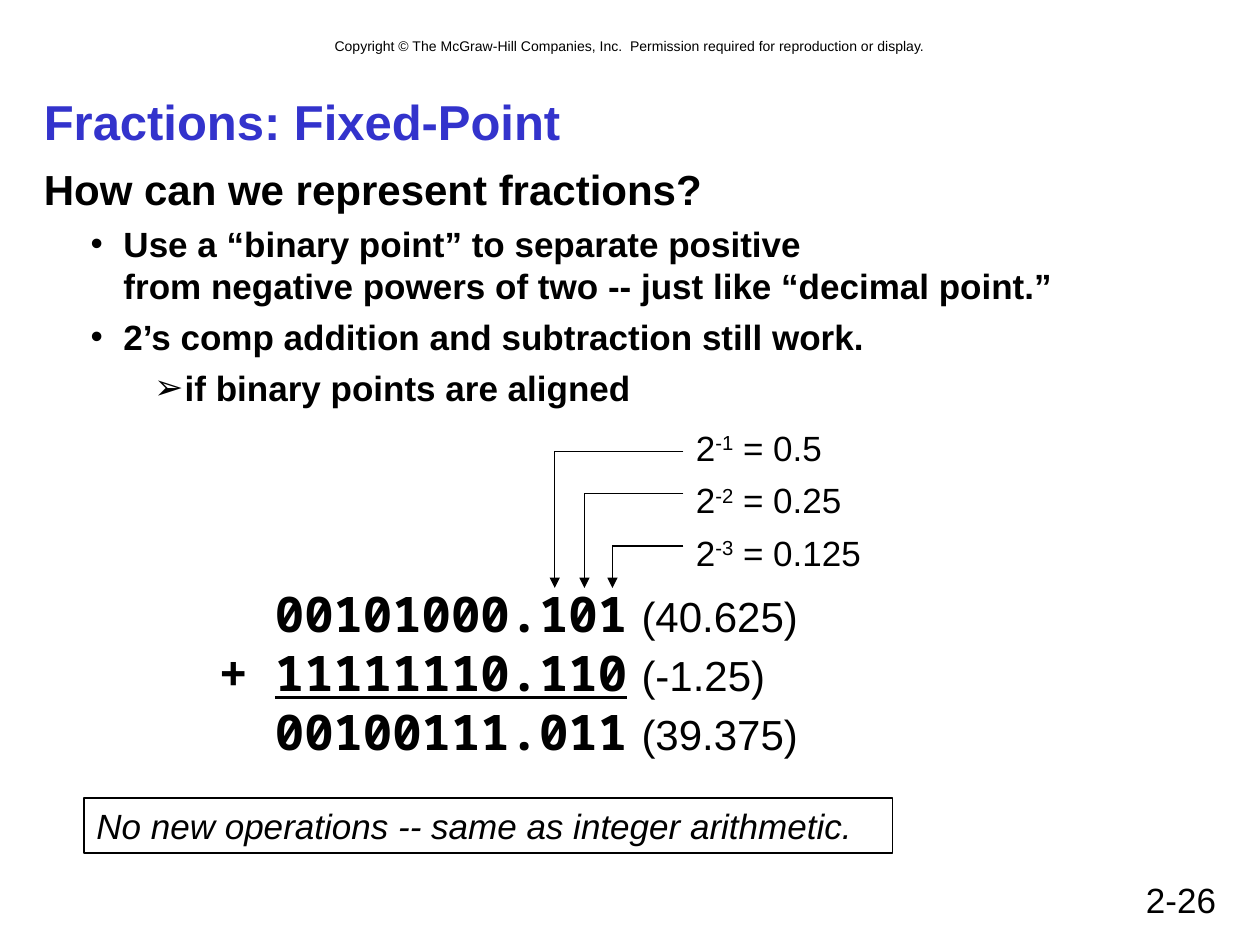
from lxml import etree
from pptx import Presentation
from pptx.dml.color import RGBColor
from pptx.enum import shapes, text
from pptx.oxml.ns import qn
from pptx.util import Pt

BLACK = "000000"
BLUE = "3333CC"
MONO = "Noto Sans Mono"


def color(value):
    """Turn a hex string into a colour."""
    return RGBColor.from_string(value)


def set_font(font, size, bold=False, italic=False, name="Arial", fill=BLACK):
    """Set the whole look of a font."""
    font.name, font.size, font.bold, font.italic = name, Pt(size), bold, italic
    font.color.rgb = color(fill)


def add_box(slide, left, top, width, height):
    """Add an empty wrapping text box and return its text frame."""
    frame = slide.shapes.add_textbox(Pt(left), Pt(top), Pt(width), Pt(height)).text_frame
    frame.word_wrap = True
    return frame


def add_label(slide, box, words, size, align=text.PP_ALIGN.LEFT, **look):
    """Add a one-paragraph text box."""
    frame = add_box(slide, *box)
    frame.vertical_anchor = text.MSO_ANCHOR.MIDDLE
    paragraph = frame.paragraphs[0]
    paragraph.text, paragraph.alignment = words, align
    set_font(paragraph.font, size, **look)


def add_outline(slide, left, top, width, height):
    """Add the question and its bulleted answers."""
    items = [
        ("How can we represent fractions?", 24, 0, 0, None),
        ("Use a “binary point” to separate positive\v"
         "from negative powers of two -- just like “decimal point.”", 20, 45.5, -18.75, "•"),
        ("2’s comp addition and subtraction still work.", 20, 45.5, -18.75, "•"),
        ("if binary points are aligned", 20, 80.5, -17.5, "➢"),
    ]
    frame = add_box(slide, left, top, width, height)
    for index, (words, size, margin, indent, bullet) in enumerate(items):
        paragraph = frame.add_paragraph() if index else frame.paragraphs[0]
        paragraph.text = words
        if index:
            paragraph.space_before = Pt(5)
        if bullet:
            properties = paragraph._p.get_or_add_pPr()
            properties.set("marL", str(Pt(margin)))
            properties.set("indent", str(Pt(indent)))
            etree.SubElement(properties, qn("a:buFont")).set("typeface", "Arial")
            etree.SubElement(properties, qn("a:buChar")).set("char", bullet)
        set_font(paragraph.font, size, bold=True)


def add_sum(slide, left, top, width, height):
    """Add the binary addition, aligned on tab stops."""
    rows = [("", "00101000.101", "(40.625)"),
            ("+", "11111110.110", "(-1.25)"),
            ("", "00100111.011", "(39.375)")]
    stops = [(44.64, "r"), (261.36, "r"), (269.5, "l")]
    frame = add_box(slide, left, top, width, height)
    for index, (sign, digits, value) in enumerate(rows):
        paragraph = frame.add_paragraph() if index else frame.paragraphs[0]
        tabs = etree.SubElement(paragraph._p.get_or_add_pPr(), qn("a:tabLst"))
        for position, align in stops:
            tab = etree.SubElement(tabs, qn("a:tab"))
            tab.set("pos", str(Pt(position)))
            tab.set("algn", align)
        for words in (f"\t{sign}\t", digits, "\t"):
            run = paragraph.add_run()
            run.text = words
            set_font(run.font, 28, bold=True, name=MONO)
            run.font.underline = bool(sign) and words == digits
        run = paragraph.add_run()
        run.text = value
        set_font(run.font, 24)


def add_line(slide, start, end, arrow=False):
    """Add a thin black line, with an arrowhead at its end on request."""
    line = slide.shapes.add_connector(
        shapes.MSO_CONNECTOR.STRAIGHT, *(Pt(value) for value in start + end))
    line.line.color.rgb = color(BLACK)
    line.line.width = Pt(0.75)
    if arrow:
        etree.SubElement(line.line._get_or_add_ln(), qn("a:tailEnd")).set("type", "triangle")
    etree.SubElement(line._element.spPr, qn("a:effectLst"))


def add_powers(slide, left, top, width, height):
    """Add the powers of two, each with an arrow to its digit."""
    powers = [("-1", "0.5", 0, 18), ("-2", "0.25", 17, 42), ("-3", "0.125", 33, 72)]
    label = 73.5
    for index, (exponent, value, digit, level) in enumerate(powers):
        frame = add_box(slide, left + label, top + 30 * index, width - label, 31.5)
        paragraph = frame.paragraphs[0]
        for words in ("2", exponent, f" = {value}"):
            run = paragraph.add_run()
            run.text = words
            if words == exponent:
                run._r.get_or_add_rPr().set("baseline", "30000")
        set_font(paragraph.font, 20)
        corner = (left + digit, top + level)
        add_line(slide, (left + label, top + level), corner)
        add_line(slide, corner, (left + digit, top + height), arrow=True)


def add_note(slide, left, top, width, height):
    """Add the framed closing remark."""
    shape = slide.shapes.add_shape(
        shapes.MSO_SHAPE.RECTANGLE, Pt(left), Pt(top), Pt(width), Pt(height))
    shape.shadow.inherit = False
    shape.fill.background()
    shape.line.color.rgb = color(BLACK)
    shape.line.width = Pt(0.75)
    paragraph = shape.text_frame.paragraphs[0]
    paragraph.text = "No new operations -- same as integer arithmetic."
    paragraph.alignment = text.PP_ALIGN.LEFT
    set_font(paragraph.font, 20, italic=True)


def main():
    """Build the slide and save it."""
    presentation = Presentation()
    presentation.slide_width, presentation.slide_height = Pt(720), Pt(540)
    slide = presentation.slides.add_slide(presentation.slide_layouts[6])
    add_label(slide, (48, 18, 624, 17),
              "Copyright © The McGraw-Hill Companies, Inc.  "
              "Permission required for reproduction or display.",
              8, text.PP_ALIGN.CENTER)
    add_label(slide, (516, 498, 186, 31.5), "2-26", 20, text.PP_ALIGN.RIGHT)
    add_label(slide, (18, 48, 684, 42), "Fractions: Fixed-Point", 28, bold=True, fill=BLUE)
    add_outline(slide, 18, 90, 684, 390)
    add_sum(slide, 90, 330, 564, 108)
    add_powers(slide, 317, 240, 193.5, 96)
    add_note(slide, 48, 456, 462, 31.5)
    presentation.save("out.pptx")


if __name__ == "__main__":
    main()
